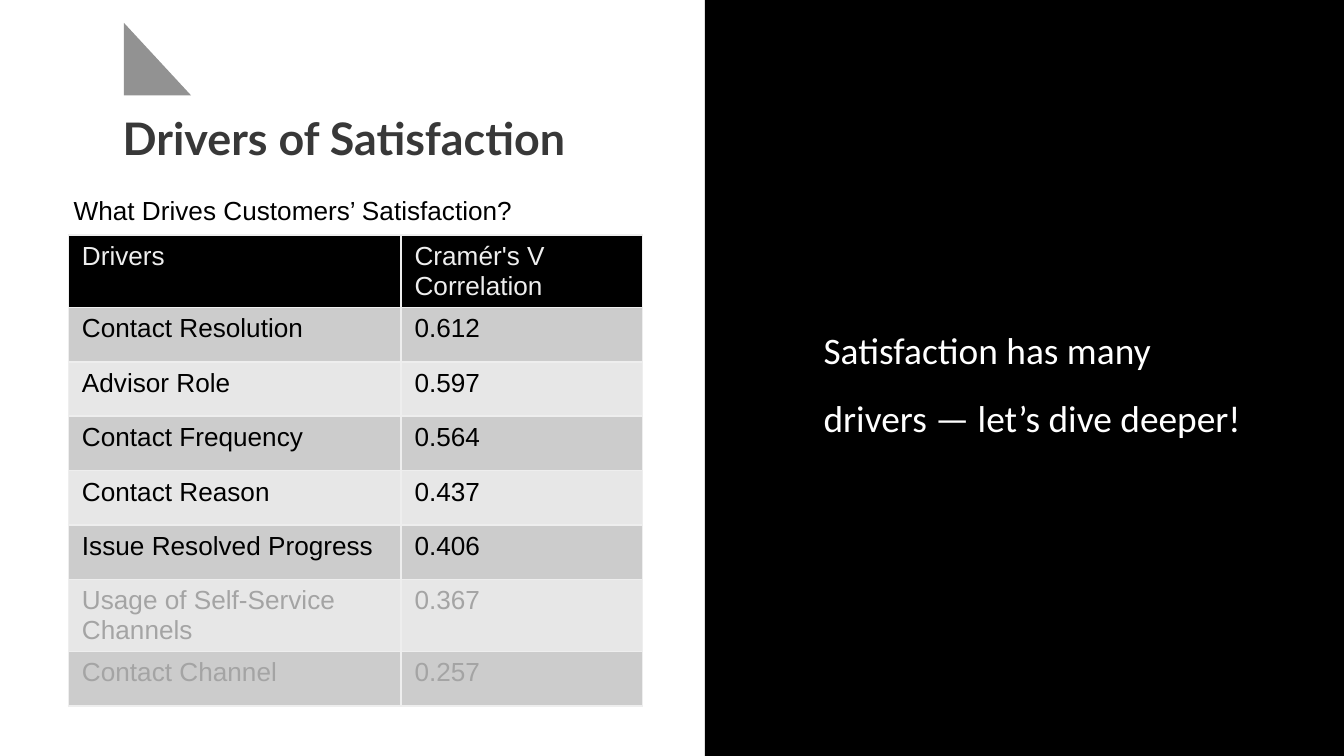
from lxml.etree import SubElement
from pptx import Presentation
from pptx.dml.color import RGBColor
from pptx.enum.shapes import MSO_SHAPE as SHAPE
from pptx.enum.text import MSO_ANCHOR as ANCHOR
from pptx.oxml import parse_xml
from pptx.oxml.ns import nsdecls, qn
from pptx.util import Inches, Pt

COLORS = {
    "panel": "000000", "triangle": "929292", "title": "383838",
    "white": "FFFFFF", "text": "000000", "muted": "A4A4A4",
    "header": "000000", "line": "EEEEEE", "odd": "CCCCCC", "even": "E7E7E7",
}

presentation = Presentation()
presentation.slide_width = Inches(10)
presentation.slide_height = presentation.slide_width * 9 // 16
slide = presentation.slides.add_slide(presentation.slide_layouts[6])

# Square grid, 100 columns across the slide
UNIT = presentation.slide_width / 100


def place(*cells):
    return [round(cell * UNIT) for cell in cells]


def add_text(frame, text, font, size, color, bold=False, spacing=None):
    frame.word_wrap = True
    paragraph = frame.paragraphs[0]
    if spacing:
        paragraph.line_spacing = spacing
    run = paragraph.add_run()
    run.text = text
    run.font.name = font
    run.font.size = Pt(size)
    run.font.bold = bold
    run.font.color.rgb = RGBColor.from_string(COLORS[color])


# Dark panel and corner triangle
for kind, color, cells in [
    (SHAPE.RECTANGLE, "panel", (52.45, -2.4, 47.55, 61.5)),
    (SHAPE.RIGHT_TRIANGLE, "triangle", (9.22, 1.7, 5, 5.4)),
]:
    shape = slide.shapes.add_shape(kind, *place(*cells))
    shape.shadow.inherit = False
    shape.fill.solid()
    shape.fill.fore_color.rgb = RGBColor.from_string(COLORS[color])
    shape.line.fill.background()

# Title and message
for text, font, size, color, bold, spacing, anchor, cells in [
    ("Drivers of Satisfaction", "Lato", 24, "title", True, 1.15,
     ANCHOR.BOTTOM, (8.15, 6.15, 45.6, 7.1)),
    ("Satisfaction has many drivers — let’s dive deeper!", "Calibri", 20,
     "white", False, 1.5, ANCHOR.TOP, (60.3, 21.7, 34.6, 15.8)),
]:
    frame = slide.shapes.add_textbox(*place(*cells)).text_frame
    frame.vertical_anchor = anchor
    frame.margin_left = frame.margin_right = Inches(0.1)
    frame.margin_top = frame.margin_bottom = Inches(0.1)
    add_text(frame, text, font, size, color, bold, spacing)

# Drivers table
drivers = [
    ("Drivers", "Cramér's V Correlation"),
    ("Contact Resolution", "0.612"),
    ("Advisor Role", "0.597"),
    ("Contact Frequency", "0.564"),
    ("Contact Reason", "0.437"),
    ("Issue Resolved Progress", "0.406"),
    ("Usage of Self-Service Channels", "0.367"),
    ("Contact Channel", "0.257"),
]
FIRST_MUTED = 6
table = slide.shapes.add_table(
    len(drivers), 2, *place(5.1, 17.5, 42.7, 32.4)).table
table.first_row = table.horz_banding = False
for column, width in zip(table.columns, place(24.75, 17.95)):
    column.width = width

for row, values in enumerate(drivers):
    if row == 0:
        fill, color = "header", "line"
    else:
        fill = "odd" if row % 2 else "even"
        color = "muted" if row >= FIRST_MUTED else "text"
    for column, value in enumerate(values):
        cell = table.cell(row, column)
        cell.margin_bottom = Inches(0.02)
        add_text(cell.text_frame, value, "Arial", 14, color)
        properties = cell._tc.get_or_add_tcPr()
        for side in ("lnL", "lnR", "lnT", "lnB"):
            border = parse_xml(f'<a:{side} {nsdecls("a")} w="{Pt(1)}"/>')
            line_fill = SubElement(border, qn("a:solidFill"))
            SubElement(line_fill, qn("a:srgbClr"), val=COLORS["line"])
            properties.append(border)
        cell.fill.solid()
        cell.fill.fore_color.rgb = RGBColor.from_string(COLORS[fill])

# Table caption
caption = slide.shapes.add_textbox(*place(4.5, 14, 43.3, 3.4))
add_text(caption.text_frame, "What Drives Customers’ Satisfaction?",
         "Arial", 14, "text")

presentation.save("out.pptx")
